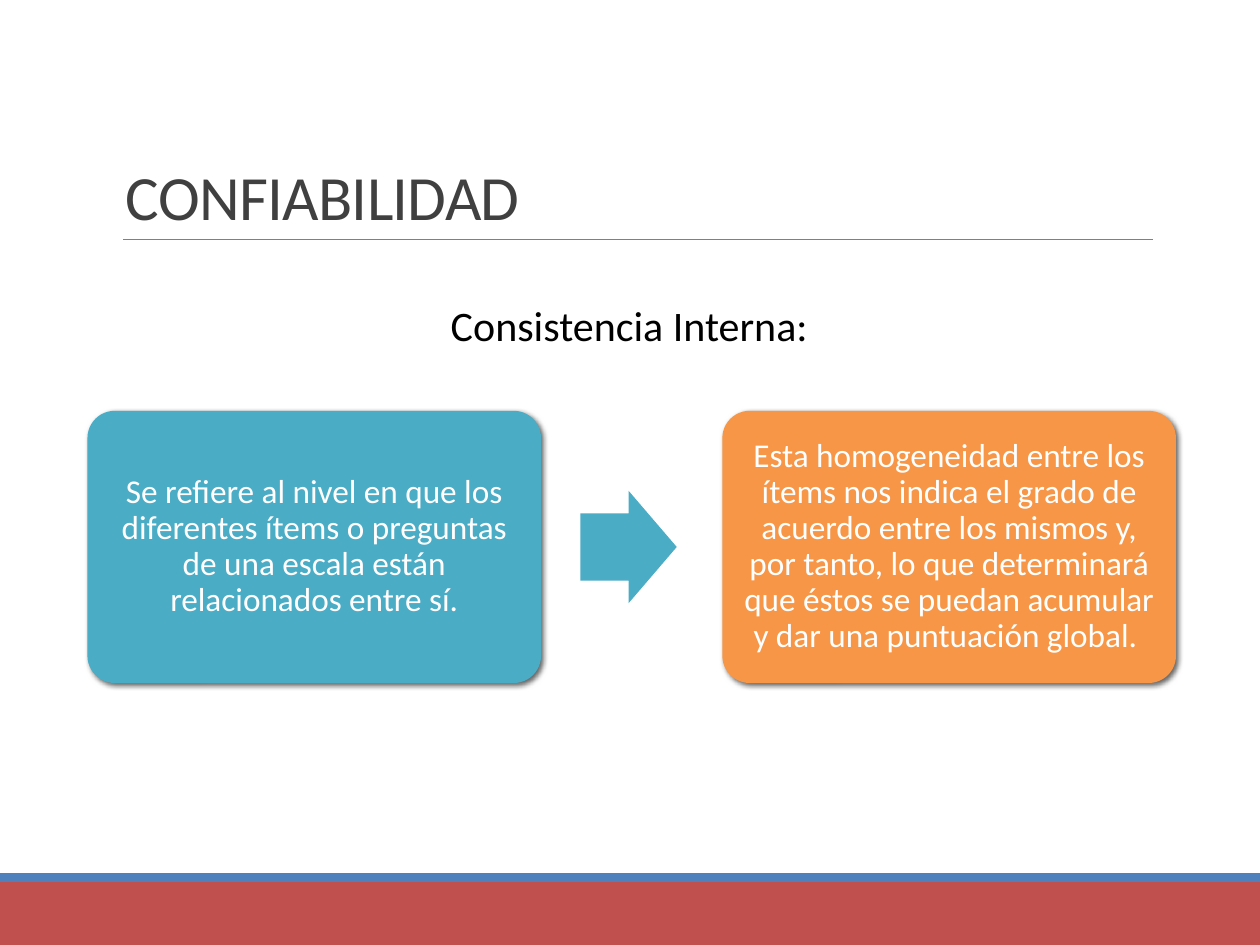
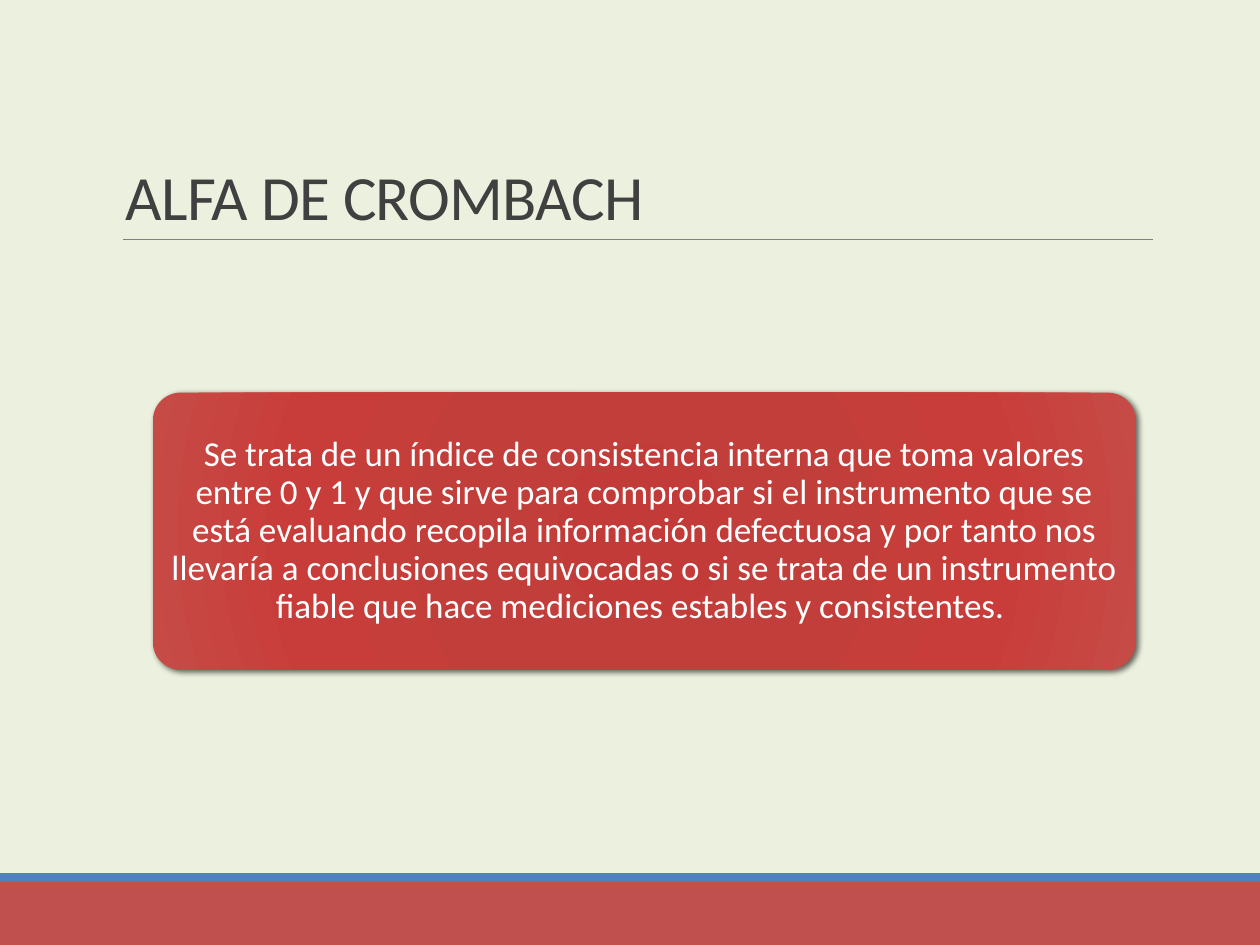
import pptx
import pptx.dml.color
import pptx.enum.shapes
import pptx.enum.text
import pptx.oxml
import pptx.oxml.ns
import pptx.util

Pt = pptx.util.Pt
SHAPES = pptx.enum.shapes.MSO_SHAPE
ALIGN = pptx.enum.text.PP_ALIGN
ANCHOR = pptx.enum.text.MSO_ANCHOR

FONT = "Calibri"
COLORS = {
    "white": "FFFFFF",
    "black": "000000",
    "pale_green": "EBF1DE",
    "title": "404040",
    "rule": "808080",
    "band": "C0504D",
    "stripe": "4F81BD",
    "teal": "4BACC6",
    "orange": "F79646",
}
RED_GRADIENT = {0: "C33B38", 34: "C23E3B", 70: "C83D39", 100: "C64B47"}

SLIDE_WIDTH, SLIDE_HEIGHT = 720, 540
BAND_BOX = (0, 504, SLIDE_WIDTH, 36)
TITLE_BOX = (64.8, 22.2, 594, 114.5)
HEADING_BOX = (250.5, 167.7, 220.3, 36)
PROCESS_BOX = (50, 234.8, 622, 155.5)
DEFINITION_BOX = (87.4, 224.4, 561.6, 158.4)


def rgb(name):
    return pptx.dml.color.RGBColor.from_string(COLORS[name])


def lengths(box):
    return [Pt(value) for value in box]


def drawing_xml(body):
    return pptx.oxml.parse_xml(body.replace(">", f" {pptx.oxml.ns.nsdecls('a')}>", 1))


def add_filled(slide, kind, box, color):
    shape = slide.shapes.add_shape(kind, *lengths(box))
    shape.shadow.inherit = False
    shape.fill.solid()
    shape.fill.fore_color.rgb = rgb(color)
    shape.line.fill.background()
    return shape


def style_text(shape, text, size, color, align, spacing=1.0):
    shape.text_frame.text = text
    paragraph = shape.text_frame.paragraphs[0]
    paragraph.alignment = align
    paragraph.line_spacing = spacing
    font = paragraph.runs[0].font
    font.name = FONT
    font.size = Pt(size)
    font.color.rgb = rgb(color)
    return paragraph.runs[0]


def add_card_shadow(shape, blur):
    effects = shape.element.spPr.find(pptx.oxml.ns.qn("a:effectLst"))
    effects.append(drawing_xml(
        f'<a:outerShdw blurRad="{Pt(blur)}" dist="{Pt(2)}" dir="2700000" rotWithShape="0">'
        f'<a:srgbClr val="{COLORS["black"]}"><a:alpha val="60000"/></a:srgbClr>'
        '</a:outerShdw>'))


def fill_radial(shape, stops):
    stop_list = "".join(
        f'<a:gs pos="{position * 1000}"><a:srgbClr val="{color}"/></a:gs>'
        for position, color in stops.items())
    gradient = drawing_xml(
        f'<a:gradFill rotWithShape="1"><a:gsLst>{stop_list}</a:gsLst>'
        '<a:path path="circle">'
        '<a:fillToRect l="100000" t="100000" r="100000" b="100000"/>'
        '</a:path></a:gradFill>')
    properties = shape.element.spPr
    properties.replace(properties.find(pptx.oxml.ns.qn("a:solidFill")), gradient)


def add_card(slide, box, color, text, size, blur=3):
    card = add_filled(slide, SHAPES.ROUNDED_RECTANGLE, box, color)
    card.adjustments[0] = 0.1
    add_card_shadow(card, blur)
    frame = card.text_frame
    frame.word_wrap = True
    frame.vertical_anchor = ANCHOR.MIDDLE
    inset = Pt(size * 0.3)
    frame.margin_left = frame.margin_right = inset
    frame.margin_top = frame.margin_bottom = inset
    style_text(card, text, size, "white", ALIGN.CENTER, 0.9)
    return card


def add_footer_band(slide, box):
    left, top, width, height = box
    stripe_height = 5
    add_filled(slide, SHAPES.RECTANGLE, box, "band")
    add_filled(slide, SHAPES.RECTANGLE,
               (left, top - stripe_height, width, stripe_height), "stripe")


def add_title(slide, box, text):
    left, top, width, height = box
    bottom = top + height
    rule = slide.shapes.add_connector(
        pptx.enum.shapes.MSO_CONNECTOR.STRAIGHT,
        *lengths((left + 5.6, bottom, left + width, bottom)))
    rule.line.color.rgb = rgb("rule")
    rule.line.width = Pt(0.5)
    rule.element.spPr.append(drawing_xml("<a:effectLst></a:effectLst>"))
    title = slide.shapes.add_textbox(*lengths(box))
    title.text_frame.word_wrap = True
    title.text_frame.vertical_anchor = ANCHOR.BOTTOM
    run = style_text(title, text, 36, "title", ALIGN.LEFT, 0.85)
    run.font._element.set("spc", "-40")


def add_heading(slide, box, text):
    heading = slide.shapes.add_textbox(*lengths(box))
    heading.text_frame.word_wrap = False
    heading.text_frame.auto_size = pptx.enum.text.MSO_AUTO_SIZE.SHAPE_TO_FIT_TEXT
    style_text(heading, text, 24, "black", ALIGN.LEFT)


def add_process(slide, box, steps):
    left, top, width, height = box
    card_width = 259.2
    arrow_width, arrow_height = 55, 64.2
    pitch = (width - card_width) / (len(steps) - 1)
    for index, (color, text) in enumerate(steps):
        card_left = left + index * pitch
        if index:
            arrow_left = card_left - pitch + card_width * 1.087
            arrow_top = top + (height - arrow_height) / 2
            arrow = add_filled(slide, SHAPES.RIGHT_ARROW,
                               (arrow_left, arrow_top, arrow_width, arrow_height),
                               steps[index - 1][0])
            arrow.adjustments[0] = 0.6
            arrow.adjustments[1] = 0.5
        add_card(slide, (card_left, top, card_width, height), color, text, 19)


def add_base_slide(presentation, background, title):
    slide = presentation.slides.add_slide(presentation.slide_layouts[6])
    slide.background.fill.solid()
    slide.background.fill.fore_color.rgb = rgb(background)
    add_footer_band(slide, BAND_BOX)
    add_title(slide, TITLE_BOX, title)
    return slide


def build_reliability_slide(presentation):
    slide = add_base_slide(presentation, "white", "CONFIABILIDAD")
    add_process(slide, PROCESS_BOX, [
        ("teal", "Se refiere al nivel en que los diferentes ítems o preguntas "
                 "de una escala están relacionados entre sí."),
        ("orange", "Esta homogeneidad entre los ítems nos indica el grado de "
                   "acuerdo entre los mismos y, por tanto, lo que determinará "
                   "que éstos se puedan acumular y dar una puntuación global. "),
    ])
    add_heading(slide, HEADING_BOX, "Consistencia Interna:")


def build_alpha_slide(presentation):
    slide = add_base_slide(presentation, "pale_green", "ALFA DE CROMBACH")
    card = add_card(
        slide, DEFINITION_BOX, "band",
        "Se trata de un índice de consistencia interna que toma valores entre "
        "0 y 1 y que sirve para comprobar si el instrumento que se está "
        "evaluando recopila información defectuosa y por tanto nos llevaría a "
        "conclusiones equivocadas o si se trata de un instrumento fiable que "
        "hace mediciones estables y consistentes. ", 20, blur=3.5)
    fill_radial(card, RED_GRADIENT)


def main():
    presentation = pptx.Presentation()
    presentation.slide_width = Pt(SLIDE_WIDTH)
    presentation.slide_height = Pt(SLIDE_HEIGHT)
    build_reliability_slide(presentation)
    build_alpha_slide(presentation)
    presentation.save("out.pptx")


if __name__ == "__main__":
    main()
